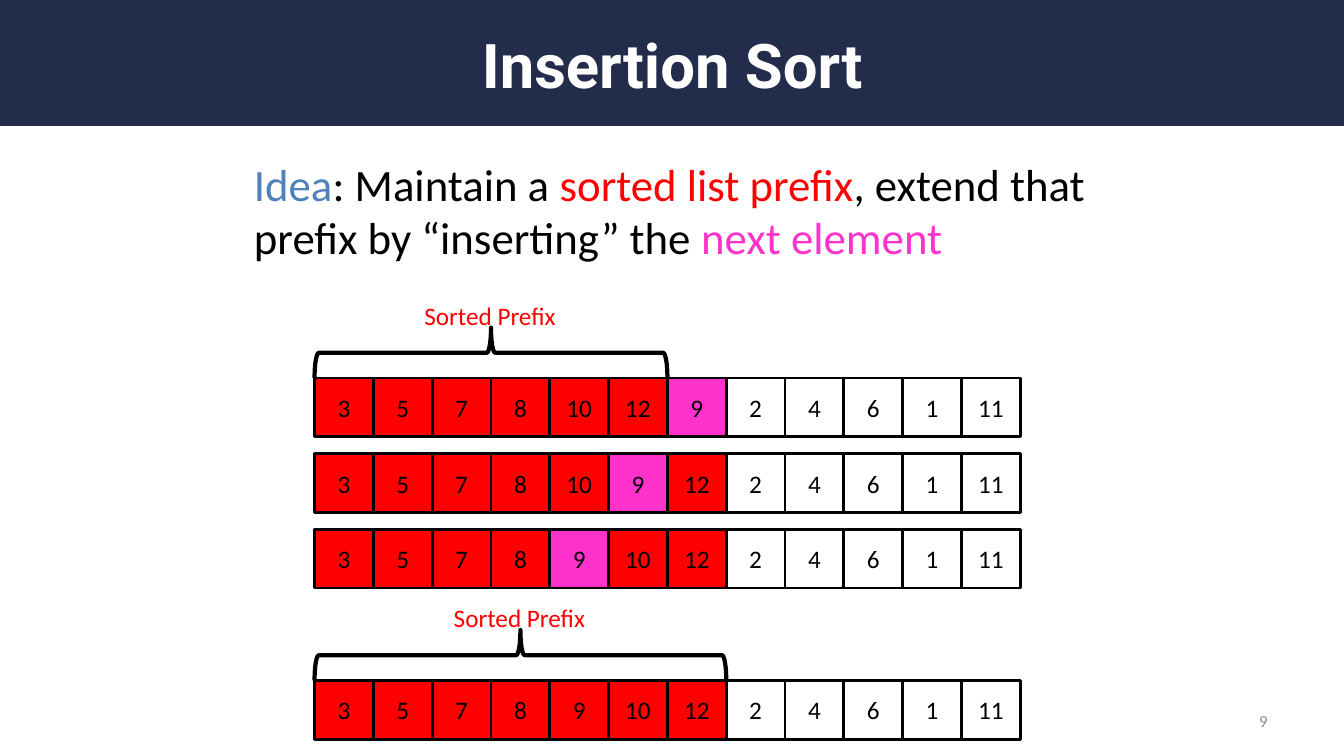
from dataclasses import dataclass

from pptx import Presentation
from pptx.dml.color import RGBColor
from pptx.enum.shapes import MSO_SHAPE
from pptx.enum.text import MSO_ANCHOR, PP_ALIGN
from pptx.util import Inches, Pt


@dataclass(frozen=True)
class Theme:
    """Colours, fonts and type sizes of the slide."""
    banner: str = "232D4B"
    white: str = "FFFFFF"
    black: str = "000000"
    idea: str = "4F81BD"
    prefix: str = "FF0000"
    next_element: str = "FF33CC"
    page: str = "8C8C8C"
    heading_font: str = "Roboto"
    body_font: str = "Calibri"
    title_size: int = 44
    idea_size: int = 32
    cell_size: int = 18
    page_size: int = 12


THEME = Theme()
CELL = 7 / 12
LIST_LEFT = 3.12
BRACE_DEPTH = 0.5
LABEL_WIDTH = 1.52


def write(frame, parts, size, align=PP_ALIGN.LEFT, font=THEME.body_font, bold=False):
    """Write one paragraph of (text, colour) parts and return it."""
    frame.vertical_anchor = MSO_ANCHOR.MIDDLE
    paragraph = frame.paragraphs[0]
    paragraph.alignment = align
    for text, colour in parts:
        run = paragraph.add_run()
        run.text = text
        run.font.name = font
        run.font.size = Pt(size)
        run.font.bold = bold
        run.font.color.rgb = RGBColor.from_string(colour)
    return paragraph


def add_text(slide, left, top, width, height, parts, size, wrap=True, **style):
    """Add a text box holding one paragraph and return that paragraph."""
    box = slide.shapes.add_textbox(Inches(left), Inches(top), Inches(width), Inches(height))
    box.text_frame.word_wrap = wrap
    return write(box.text_frame, parts, size, **style)


def add_outline(shapes, kind, left, top, width, height, fill=None, line_width=0):
    """Add a flat preset shape with an optional fill and black line."""
    outline = shapes.add_shape(kind, Inches(left), Inches(top), Inches(width), Inches(height))
    outline.shadow.inherit = False
    if fill:
        outline.fill.solid()
        outline.fill.fore_color.rgb = RGBColor.from_string(fill)
    else:
        outline.fill.background()
    if line_width:
        outline.line.color.rgb = RGBColor.from_string(THEME.black)
        outline.line.width = Pt(line_width)
    else:
        outline.line.fill.background()
    return outline


def add_list(slide, top, values, sorted_end, next_index=None):
    """Add a grouped row of cells, colouring the prefix and the next element."""
    cells = slide.shapes.add_group_shape().shapes
    for index, value in enumerate(values):
        fill = THEME.prefix if index < sorted_end else None
        if index == next_index:
            fill = THEME.next_element
        cell = add_outline(cells, MSO_SHAPE.RECTANGLE, LIST_LEFT + index * CELL, top,
                           CELL, CELL, fill, 2)
        write(cell.text_frame, [(str(value), THEME.black)], THEME.cell_size, PP_ALIGN.CENTER)


def add_prefix_brace(slide, list_top, count):
    """Add a labelled brace above the first cells of a list."""
    span = count * CELL
    centre = LIST_LEFT + span / 2
    brace = add_outline(slide.shapes, MSO_SHAPE.RIGHT_BRACE, centre - BRACE_DEPTH / 2,
                        list_top - (BRACE_DEPTH + span) / 2, BRACE_DEPTH, span, line_width=3)
    brace.rotation = 270
    add_text(slide, centre - LABEL_WIDTH / 2, list_top - 0.82, LABEL_WIDTH, 0.4,
             [("Sorted Prefix", THEME.prefix)], THEME.cell_size, wrap=False)


def main():
    """Build the insertion sort slide."""
    deck = Presentation()
    deck.slide_width, deck.slide_height = Inches(13.33), Inches(7.5)
    slide = deck.slides.add_slide(deck.slide_layouts[6])

    add_outline(slide.shapes, MSO_SHAPE.RECTANGLE, 0, 0, 13.33, 1.25, THEME.banner)
    add_text(slide, 0.67, 0.17, 12, 0.92, [("Insertion Sort", THEME.white)], THEME.title_size,
             align=PP_ALIGN.CENTER, font=THEME.heading_font, bold=True)
    idea = [
        ("Idea", THEME.idea),
        (": Maintain a ", THEME.black),
        ("sorted list prefix", THEME.prefix),
        (", extend that prefix by “inserting” the ", THEME.black),
        ("next element", THEME.next_element),
    ]
    add_text(slide, 2.42, 1.5, 9, 1.17, idea, THEME.idea_size)
    add_text(slide, 9.56, 6.95, 3.11, 0.4, [("9", THEME.page)], THEME.page_size,
             align=PP_ALIGN.RIGHT)

    prefix, unsorted = [3, 5, 7, 8, 10, 12], [2, 4, 6, 1, 11]
    for top, position, next_index in [(3.75, 6, 6), (4.5, 5, 5), (5.25, 4, 4), (6.75, 4, None)]:
        values = prefix[:position] + [9] + prefix[position:] + unsorted
        add_list(slide, top, values, len(prefix) + 1, next_index)
    add_prefix_brace(slide, 3.75, len(prefix))
    add_prefix_brace(slide, 6.75, len(prefix) + 1)

    deck.save("out.pptx")


if __name__ == "__main__":
    main()
